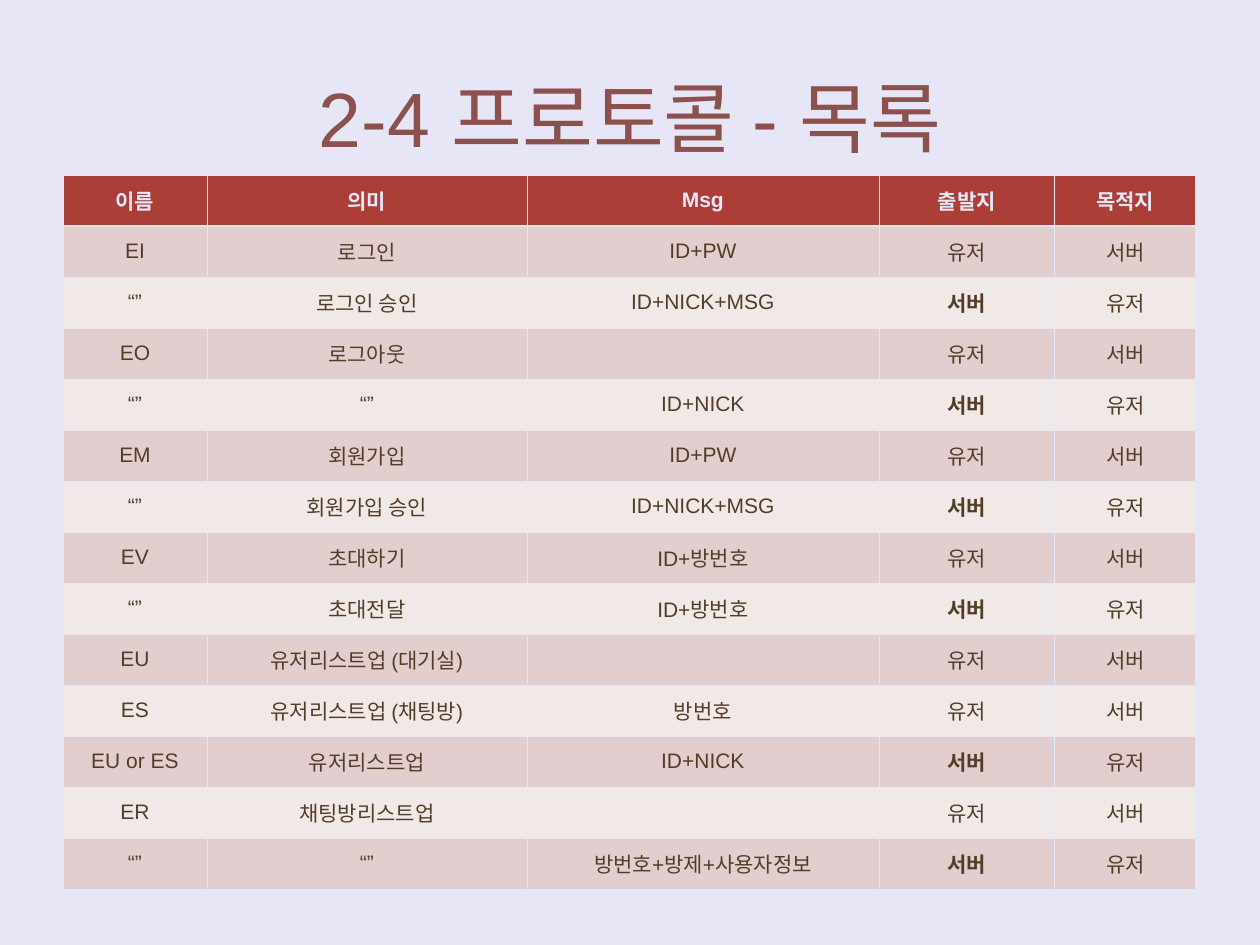
from lxml.etree import SubElement
from pptx import Presentation
from pptx.dml.color import RGBColor as RGB
from pptx.enum.text import MSO_ANCHOR as Anchor, PP_ALIGN as Align
from pptx.oxml.ns import qn
from pptx.util import Emu, Pt

SCALE = 914400 / 126
BACK, TITLE, HEAD, TEXT = "E7E6F7", "8C514C", "AB3F38", "523E26"
BANDS = ["E2CECE", "F1E8E8"]
COLS = [144, 320, 352, 176, 141]
ROW = 51
USER, SERVER = "유저", "서버"
LABELS = ["이름", "의미", "Msg", "출발지", "목적지"]
CALLS = [
    ("EI", "로그인", "ID+PW", USER),
    ("“”", "로그인 승인", "ID+NICK+MSG", SERVER),
    ("EO", "로그아웃", "", USER),
    ("“”", "“”", "ID+NICK", SERVER),
    ("EM", "회원가입", "ID+PW", USER),
    ("“”", "회원가입 승인", "ID+NICK+MSG", SERVER),
    ("EV", "초대하기", "ID+방번호", USER),
    ("“”", "초대전달", "ID+방번호", SERVER),
    ("EU", "유저리스트업 (대기실)", "", USER),
    ("ES", "유저리스트업 (채팅방)", "방번호", USER),
    ("EU or ES", "유저리스트업", "ID+NICK", SERVER),
    ("ER", "채팅방리스트업", "", USER),
    ("“”", "“”", "방번호+방제+사용자정보", SERVER),
]


def px(n):
    return Emu(round(n * SCALE))


def paint(fill, tint):
    fill.solid()
    fill.fore_color.rgb = RGB.from_string(tint)


def write(frame, text, size, tint, bold=False):
    """Fill a text frame with one centred line."""
    frame.text = text
    line = frame.paragraphs[0]
    line.alignment = Align.CENTER
    for run in line.runs:
        run.font.name = "Arial"
        run.font.size = Pt(size)
        run.font.bold = bold
        run.font.color.rgb = RGB.from_string(tint)


def edge(cell, top, low):
    """Draw the four cell borders; top and low are widths in points."""
    props = cell._tc.get_or_add_tcPr()
    for side, wide in zip("LRTB", (0.45, 0.45, top, low)):
        line = SubElement(props, qn(f"a:ln{side}"), w=str(Pt(wide)))
        fill = SubElement(line, qn("a:solidFill"))
        SubElement(fill, qn("a:srgbClr"), val=BACK)


def add_title(slide, x, y, w, h):
    frame = slide.shapes.add_textbox(px(x), px(y), px(w), px(h)).text_frame
    frame.word_wrap = True
    frame.vertical_anchor = Anchor.MIDDLE
    write(frame, "2-4 프로토콜 - 목록", 44, TITLE)


def add_calls(slide, x, y):
    """Place the protocol table; each call runs from one side to the other."""
    other = {USER: SERVER, SERVER: USER}
    rows = [LABELS] + [[*call, other[call[-1]]] for call in CALLS]
    table = slide.shapes.add_table(
        len(rows), len(COLS), px(x), px(y), px(sum(COLS)), px(ROW * len(rows))
    ).table
    for col, wide in zip(table.columns, COLS):
        col.width = px(wide)
    for r, row in enumerate(rows):
        table.rows[r].height = px(ROW)
        for c, text in enumerate(row):
            cell = table.cell(r, c)
            cell.vertical_anchor = Anchor.MIDDLE
            edge(cell, 1.47 if r == 1 else 0.45, 1.47 if r == 0 else 0.45)
            paint(cell.fill, BANDS[(r - 1) % 2] if r else HEAD)
            bold = r == 0 or (c == 3 and text == SERVER)
            write(cell.text_frame, text, 12, TEXT if r else BACK, bold)


def main():
    deck = Presentation()
    deck.slide_width, deck.slide_height = px(1260), px(945)
    slide = deck.slides.add_slide(deck.slide_layouts[6])
    paint(slide.background.fill, BACK)
    add_title(slide, 63, 38, 1134, 157)
    add_calls(slide, 63, 175)
    deck.save("out.pptx")


if __name__ == "__main__":
    main()
